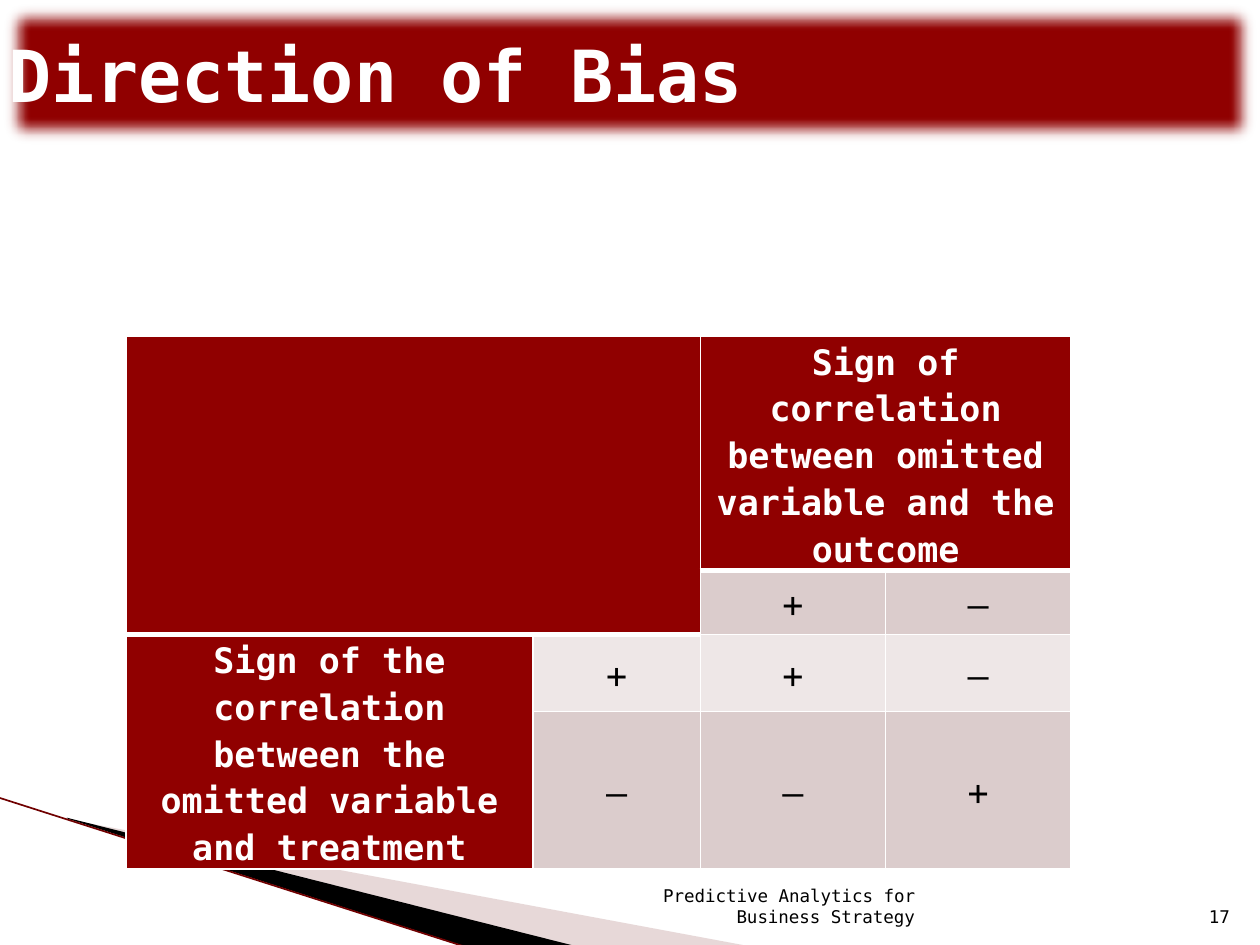
from lxml import etree
from pptx import Presentation
from pptx.dml.color import RGBColor
from pptx.enum import shapes, text
from pptx.oxml import ns
from pptx.util import Pt

FONT = "DejaVu Sans Mono"
RED = RGBColor(0x90, 0, 0)
EDGE = RGBColor(0x70, 0, 0)
ROSE = RGBColor(0xC3, 0x9F, 0x9F)
DARK = RGBColor(0xDB, 0xCC, 0xCC)
PALE = RGBColor(0xEE, 0xE7, 0xE7)
WHITE = RGBColor(255, 255, 255)
BLACK = RGBColor(0, 0, 0)

TITLE = "Direction of Bias"
NOTES = [
    ("Predictive Analytics for Business Strategy", 344.9, 185),
    ("17", 681.1, 28.8),
]
GRID = [
    ["", "", "Sign of correlation between omitted variable and the outcome", ""],
    ["", "", "+", "‒"],
    ["Sign of the correlation between the omitted variable and treatment",
     "+", "+", "‒"],
    ["", "‒", "‒", "+"],
]
COLS = [232.5, 95.8, 105.8, 105.8]
ROWS = [64.8, 36.7, 43.9, 54]
SPANS = [((0, 0), (1, 1)), ((0, 2), (0, 3)), ((2, 0), (3, 0))]
HEADS = {(0, 0), (0, 1), (1, 0), (1, 1), (0, 2), (0, 3), (2, 0), (3, 0)}
THICK = {(1, 0), (1, 1), (0, 2), (0, 3)}
WEDGES = [
    (ROSE, 40, [(39.6, 468.4), (428.4, 540.7), (328.3, 540.7), (39.6, 468)]),
    (BLACK, 100, [(38.2, 467.3), (329, 540.7), (267.8, 541.4), (38.9, 468)]),
]


def add(node, tag, **attrs):
    return etree.SubElement(node, ns.qn(tag), attrs)


def write(frame, words, size, color, bold=False, align=text.PP_ALIGN.LEFT):
    par = frame.paragraphs[0]
    par.alignment = align
    run = par.add_run()
    run.text = words
    font = run.font
    font.name, font.size, font.bold = FONT, Pt(size), bold
    font.color.rgb = color
    return par


def border(cell, side, width):
    line = add(cell._tc.get_or_add_tcPr(), "a:ln" + side, w=str(Pt(width)))
    fill = add(line, "a:solidFill")
    add(fill, "a:srgbClr", val=str(WHITE))


deck = Presentation()
deck.slide_width, deck.slide_height = Pt(720), Pt(540)
slide = deck.slides.add_slide(deck.slide_layouts[6])
items = slide.shapes

for color, alpha, points in WEDGES:
    spots = [(Pt(x), Pt(y)) for x, y in points]
    path = items.build_freeform(*spots[0], scale=1)
    path.add_line_segments(spots[1:], close=True)
    wedge = path.convert_to_shape()
    wedge.shadow.inherit = False
    wedge.fill.solid()
    wedge.fill.fore_color.rgb = color
    wedge.line.fill.background()
    if alpha < 100:
        tone = wedge._element.spPr.find(".//" + ns.qn("a:srgbClr"))
        add(tone, "a:alpha", val=str(alpha * 1000))

edge = items.add_connector(shapes.MSO_CONNECTOR.STRAIGHT,
                           Pt(-0.7), Pt(455.8), Pt(267.1), Pt(541.4))
edge.line.color.rgb = EDGE
edge.line.width = Pt(0.95)
add(edge._element.spPr, "a:effectLst")

table = items.add_table(len(ROWS), len(COLS), Pt(72), Pt(192.2),
                        Pt(sum(COLS)), Pt(sum(ROWS))).table
for col, width in zip(table.columns, COLS):
    col.width = Pt(width)
for row, height in zip(table.rows, ROWS):
    row.height = Pt(height)
for start, end in SPANS:
    table.cell(*start).merge(table.cell(*end))
for r, line in enumerate(GRID):
    for c, words in enumerate(line):
        cell, head = table.cell(r, c), (r, c) in HEADS
        cell.margin_left = cell.margin_right = Pt(5)
        cell.margin_top = cell.margin_bottom = Pt(0)
        cell.vertical_anchor = text.MSO_ANCHOR.MIDDLE
        for side in "LRTB":
            thick = ((side == "B" and (r, c) in THICK)
                     or (side == "T" and (r - 1, c) in THICK))
            border(cell, side, 3 if thick else 1)
        cell.fill.solid()
        cell.fill.fore_color.rgb = RED if head else (DARK if r % 2 else PALE)
        if words:
            par = write(cell.text_frame, words, 20, WHITE if head else BLACK,
                        head, text.PP_ALIGN.CENTER)
            par.line_spacing = 1.15

for words, left, width in NOTES:
    frame = items.add_textbox(Pt(left), Pt(504.7), Pt(width), Pt(28.8)).text_frame
    frame.word_wrap = True
    frame.vertical_anchor = text.MSO_ANCHOR.BOTTOM
    write(frame, words, 10, BLACK, align=text.PP_ALIGN.RIGHT)

title = items.add_shape(shapes.MSO_SHAPE.RECTANGLE, 0, 0, Pt(720), Pt(84.2))
title.shadow.inherit = False
title.fill.solid()
title.fill.fore_color.rgb = RED
title.line.fill.background()
glow = title._element.spPr.find(ns.qn("a:effectLst"))
add(glow, "a:softEdge", rad="112500")
frame = title.text_frame
frame.word_wrap = True
frame.margin_left = Pt(5)
frame.vertical_anchor = text.MSO_ANCHOR.MIDDLE
write(frame, TITLE, 41, WHITE, True)

deck.save("out.pptx")
